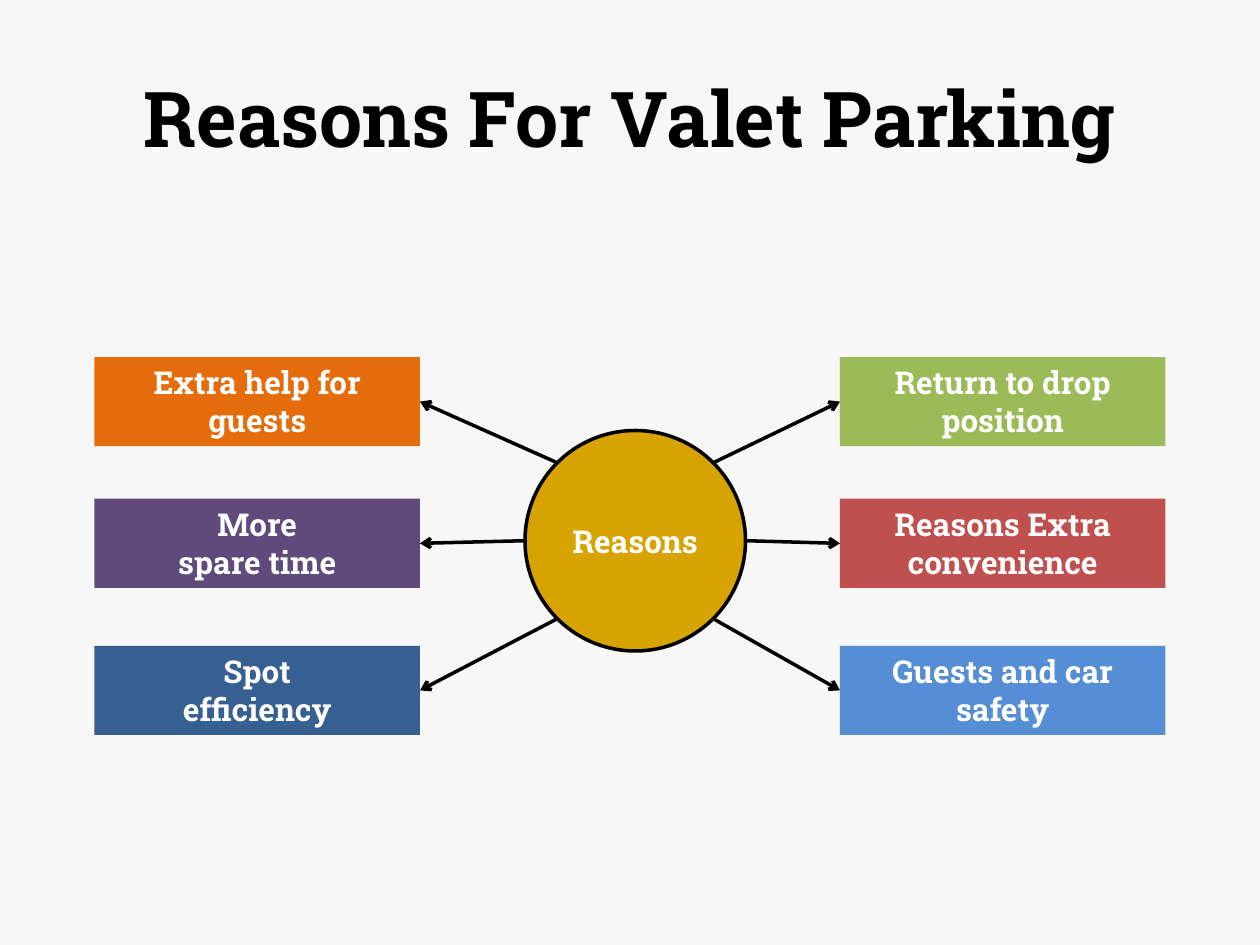
from math import cos, radians, sin

from pptx import Presentation
from pptx.dml.color import RGBColor
from pptx.enum.shapes import MSO_CONNECTOR, MSO_SHAPE
from pptx.enum.text import MSO_ANCHOR, MSO_AUTO_SIZE, PP_ALIGN
from pptx.oxml.ns import qn
from pptx.util import Pt
from lxml.etree import SubElement

COLORS = {
    "background": "F7F7F7", "black": "000000", "white": "FFFFFF",
    "gold": "D6A300", "orange": "E46C0A", "purple": "604A7B",
    "navy": "376092", "green": "9BBB59", "red": "C0504D", "blue": "558ED5",
}
FONT = "Roboto Slab"
LINE_WIDTH = 2
BOX_WIDTH, BOX_HEIGHT = 186, 51
ROW_TOPS = (204, 285, 369)
LEFT_SIDE, RIGHT_SIDE = 3, 1  # connection site that faces the hub

# box left, facing site, angles of the arrow starts on the hub, reasons
COLUMNS = (
    (54, LEFT_SIDE, (225, 180, 135), (
        ("Extra help for\nguests", "orange"),
        ("More\nspare time", "purple"),
        ("Spot\nefficiency", "navy"))),
    (480, RIGHT_SIDE, (-45, 0, 45), (
        ("Return to drop position", "green"),
        ("Reasons Extra convenience", "red"),
        ("Guests and car safety", "blue"))),
)


def rgb(name):
    return RGBColor.from_string(COLORS[name])


def write(shape, text, size, color, anchor):
    frame = shape.text_frame
    frame.word_wrap = True
    frame.vertical_anchor = anchor
    frame.text = text
    for paragraph in frame.paragraphs:
        paragraph.alignment = PP_ALIGN.CENTER
        paragraph.font.color.rgb = rgb(color)
        for attribute, value in {"name": FONT, "size": Pt(size), "bold": True}.items():
            setattr(paragraph.font, attribute, value)


def add_title(slide, left, top, width, height):
    title = slide.shapes.add_textbox(Pt(left), Pt(top), Pt(width), Pt(height))
    write(title, "Reasons For Valet Parking", 44, "black", MSO_ANCHOR.MIDDLE)


def add_filled(slide, kind, left, top, width, height, color):
    shape = slide.shapes.add_shape(kind, Pt(left), Pt(top), Pt(width), Pt(height))
    shape.shadow.inherit = False
    shape.fill.solid()
    shape.fill.fore_color.rgb = rgb(color)
    shape.line.fill.background()
    return shape


def add_reason(slide, left, top, text, color):
    reason = add_filled(slide, MSO_SHAPE.RECTANGLE, left, top, BOX_WIDTH, BOX_HEIGHT, color)
    write(reason, text, 18, "white", MSO_ANCHOR.TOP)
    reason.text_frame.auto_size = MSO_AUTO_SIZE.SHAPE_TO_FIT_TEXT
    return reason


def add_hub(slide, left, top, size):
    hub = add_filled(slide, MSO_SHAPE.OVAL, left, top, size, size, "gold")
    hub.line.color.rgb = rgb("black")
    hub.line.width = Pt(LINE_WIDTH)
    write(hub, "Reasons", 18, "white", MSO_ANCHOR.MIDDLE)


def add_arrow(slide, x, y, reason, site):
    arrow = slide.shapes.add_connector(MSO_CONNECTOR.STRAIGHT, Pt(x), Pt(y), Pt(x), Pt(y))
    arrow.end_connect(reason, site)
    arrow.line.color.rgb = rgb("black")
    arrow.line.width = Pt(LINE_WIDTH)
    properties = arrow.line._get_or_add_ln()
    SubElement(properties, qn("a:tailEnd"), type="arrow")
    SubElement(properties.getparent(), qn("a:effectLst"))


def add_reason_map(slide, hub_left, hub_top, hub_size):
    """Place the hub, the reasons on both sides and the arrows to them."""
    radius = hub_size / 2
    center_x, center_y = hub_left + radius, hub_top + radius
    targets = []
    for left, site, angles, reasons in COLUMNS:
        for top, angle, (text, color) in zip(ROW_TOPS, angles, reasons):
            targets.append((add_reason(slide, left, top, text, color), site, radians(angle)))
    add_hub(slide, hub_left, hub_top, hub_size)
    for reason, site, angle in targets:
        add_arrow(slide, center_x + radius * cos(angle),
                  center_y + radius * sin(angle), reason, site)


def main():
    deck = Presentation()
    deck.slide_width, deck.slide_height = Pt(720), Pt(540)
    slide = deck.slides.add_slide(deck.slide_layouts[6])
    slide.background.fill.solid()
    slide.background.fill.fore_color.rgb = rgb("background")
    add_title(slide, 36, 21.6, 648, 90)
    add_reason_map(slide, 300, 246, 126)
    deck.save("out.pptx")


if __name__ == "__main__":
    main()
